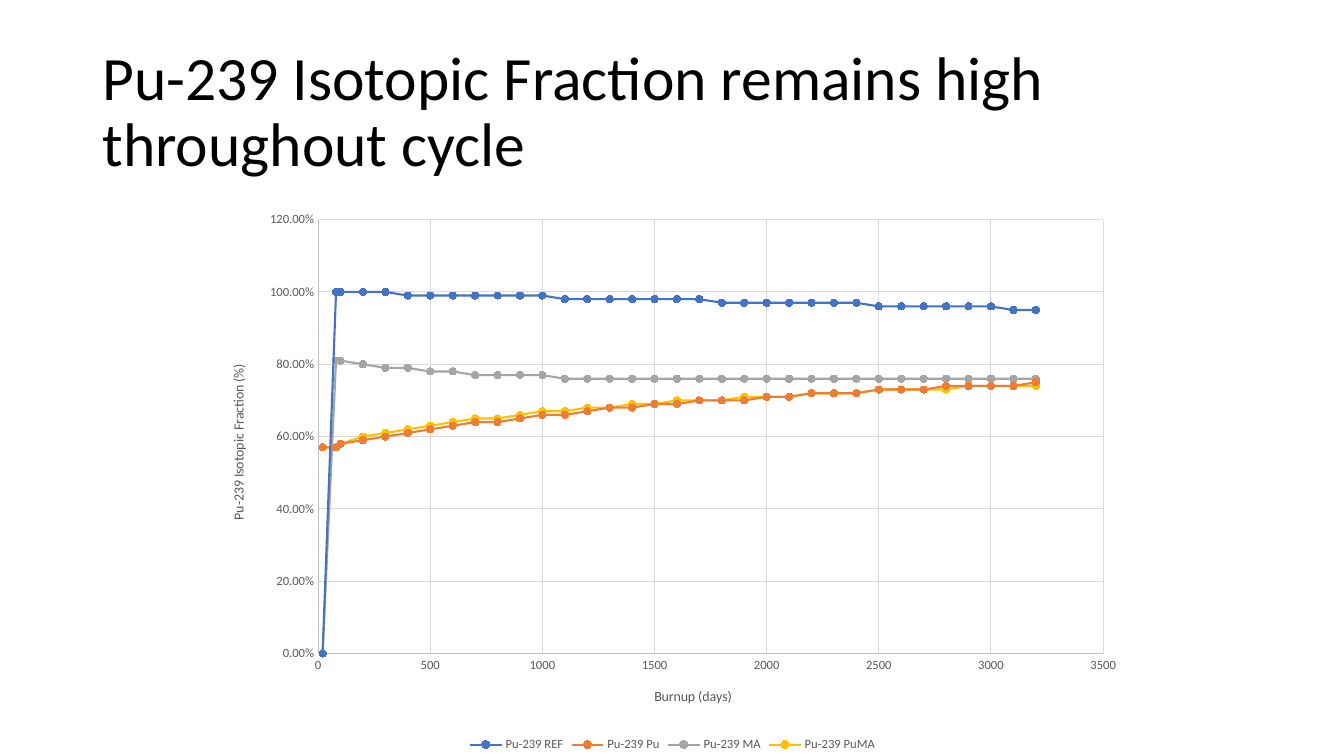
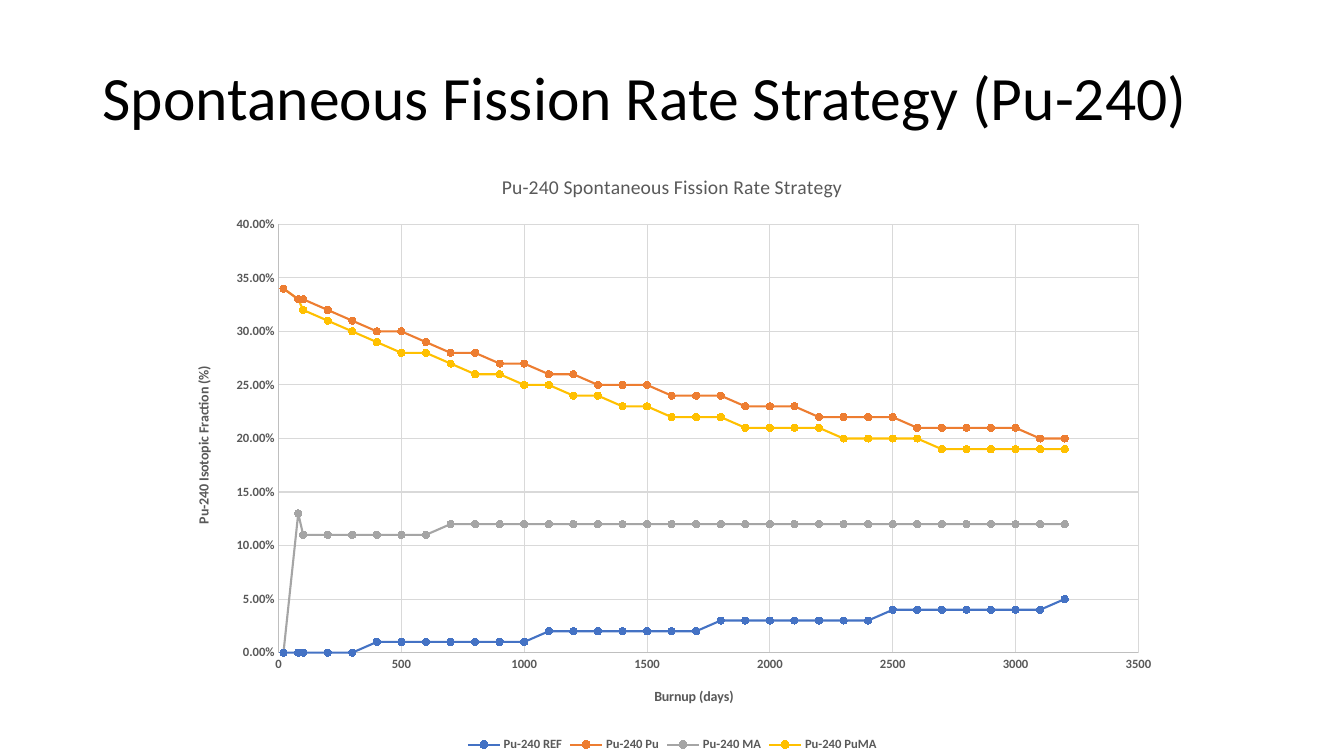
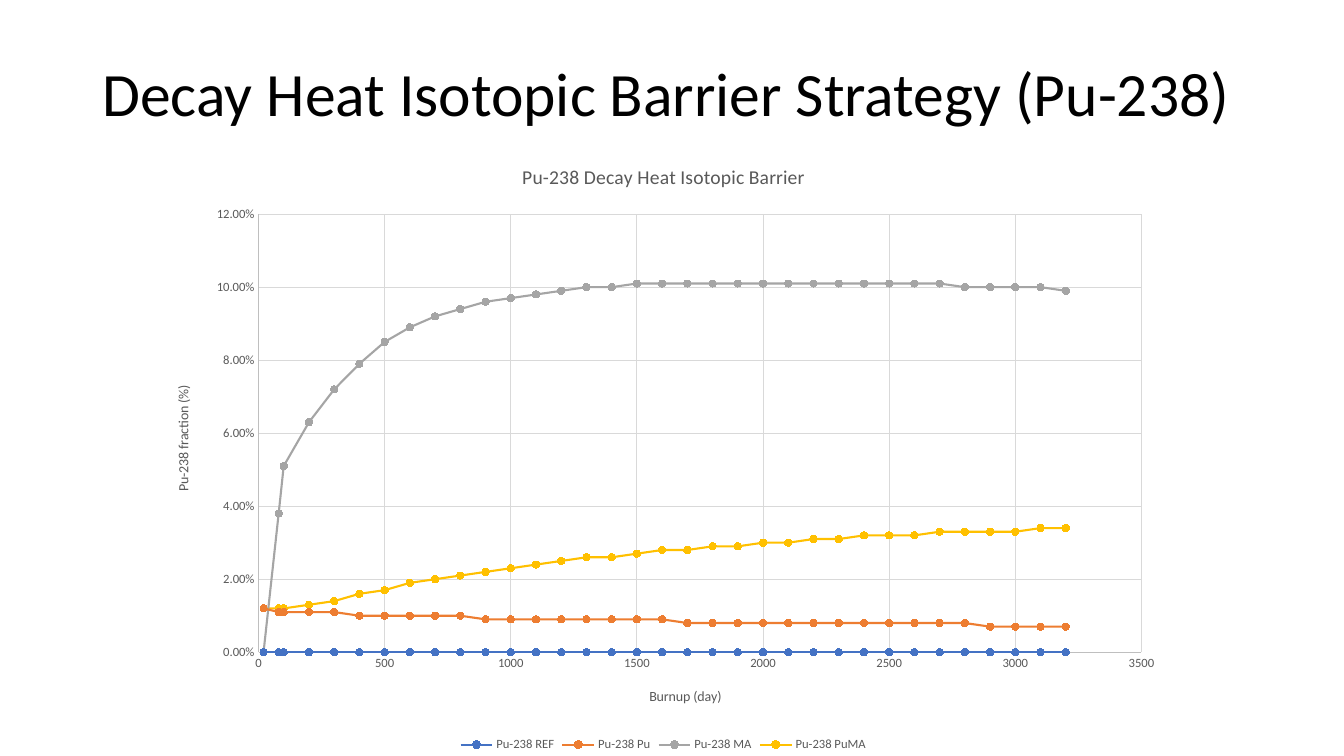
from pptx import Presentation
from pptx import util as u
from pptx.chart import data as chart_data
from pptx.dml.color import RGBColor
from pptx.enum import chart as ch, text as t
from pptx.oxml import parse_xml
from pptx.oxml.ns import nsdecls

BLACK = RGBColor(0x00, 0x00, 0x00)
GREY_TEXT = RGBColor(0x59, 0x59, 0x59)
AXIS_GREY = RGBColor(0xBF, 0xBF, 0xBF)
GRID_GREY = RGBColor(0xD9, 0xD9, 0xD9)
BLUE = RGBColor(0x44, 0x72, 0xC4)
ORANGE = RGBColor(0xED, 0x7D, 0x31)
GREY = RGBColor(0xA5, 0xA5, 0xA5)
GOLD = RGBColor(0xFF, 0xC0, 0x00)

FUELS = {"REF": BLUE, "Pu": ORANGE, "MA": GREY, "PuMA": GOLD}
BURNUP_DAYS = [20, 80] + list(range(100, 3300, 100))

# Isotopic fractions in percent, one value per burnup step
PU239 = {
    "REF": [0] + [100] * 4 + [99] * 7 + [98] * 7 + [97] * 7 + [96] * 6 + [95] * 2,
    "Pu": [57, 57, 58, 59, 60, 61, 62, 63, 64, 64, 65, 66, 66, 67, 68, 68, 69,
           69, 70, 70, 70, 71, 71, 72, 72, 72, 73, 73, 73, 74, 74, 74, 74, 75],
    "MA": [0, 81, 81, 80, 79, 79, 78, 78] + [77] * 4 + [76] * 22,
    "PuMA": [57, 57, 58, 60, 61, 62, 63, 64, 65, 65, 66, 67, 67, 68, 68, 69, 69,
             70, 70, 70, 71, 71, 71, 72, 72, 72, 73, 73, 73, 73, 74, 74, 74, 74],
}
PU240 = {
    "REF": [0] * 5 + [1] * 7 + [2] * 7 + [3] * 7 + [4] * 7 + [5],
    "Pu": [34, 33, 33, 32, 31, 30, 30, 29, 28, 28, 27, 27, 26, 26, 25, 25, 25,
           24, 24, 24, 23, 23, 23, 22, 22, 22, 22, 21, 21, 21, 21, 21, 20, 20],
    "MA": [0, 13] + [11] * 6 + [12] * 26,
    "PuMA": [34, 33, 32, 31, 30, 29, 28, 28, 27, 26, 26, 25, 25, 24, 24, 23, 23,
             22, 22, 22, 21, 21, 21, 21, 20, 20, 20, 20, 19, 19, 19, 19, 19, 19],
}
PU238 = {
    "REF": [0] * 34,
    "Pu": [1.2] + [1.1] * 4 + [1] * 5 + [0.9] * 8 + [0.8] * 12 + [0.7] * 4,
    "MA": [0, 3.8, 5.1, 6.3, 7.2, 7.9, 8.5, 8.9, 9.2, 9.4, 9.6, 9.7, 9.8, 9.9,
           10, 10] + [10.1] * 13 + [10] * 4 + [9.9],
    "PuMA": [1.2, 1.2, 1.2, 1.3, 1.4, 1.6, 1.7, 1.9, 2, 2.1, 2.2, 2.3, 2.4, 2.5,
             2.6, 2.6, 2.7, 2.8, 2.8, 2.9, 2.9, 3, 3, 3.1, 3.1, 3.2, 3.2, 3.2,
             3.3, 3.3, 3.3, 3.3, 3.4, 3.4],
}


def style_font(font, size, color=GREY_TEXT, bold=False):
    font.name = "Calibri"
    font.size = u.Pt(size)
    font.bold = bold
    font.color.rgb = color


def write_text(frame, content, size, color=GREY_TEXT, bold=False, align=None, spacing=None):
    paragraph = frame.paragraphs[0]
    paragraph.alignment = align
    paragraph.line_spacing = spacing
    run = paragraph.add_run()
    run.text = content
    style_font(run.font, size, color, bold)


def place(element, index, frame, left, top, width=None, height=None):
    """Give a chart part a fixed place; lengths are points on the slide."""
    x, y, w, h = frame
    values = {"x": (left - x) / w, "y": (top - y) / h}
    inner = ""
    if width:
        inner = '<c:layoutTarget val="inner"/>'
        values.update(w=width / w, h=height / h)
    modes = '<c:xMode val="edge"/><c:yMode val="edge"/>'
    sizes = "".join(f'<c:{key} val="{value:.4f}"/>' for key, value in values.items())
    for old in element.xpath("./c:layout"):
        element.remove(old)
    element.insert(index, parse_xml(
        f'<c:layout {nsdecls("c")}><c:manualLayout>{inner}{modes}{sizes}'
        "</c:manualLayout></c:layout>"))


class Deck:
    def __init__(self):
        self.prs = Presentation()
        self.prs.slide_width, self.prs.slide_height = u.Pt(960), u.Pt(540)
        self.slide = None

    def add_slide(self, heading, top):
        self.slide = self.prs.slides.add_slide(self.prs.slide_layouts[5])
        title = self.slide.shapes.title
        title.left, title.top = u.Pt(66), u.Pt(top)
        title.width, title.height = u.Pt(828), u.Pt(104.4)
        frame = title.text_frame
        frame.word_wrap = True
        frame.auto_size = t.MSO_AUTO_SIZE.NONE
        frame.vertical_anchor = t.MSO_ANCHOR.MIDDLE
        write_text(frame, heading, 44, BLACK, align=t.PP_ALIGN.LEFT, spacing=0.9)

    def add_axis(self, axis, label, maximum, step, number_format, frame, label_at, bold):
        axis.minimum_scale, axis.maximum_scale, axis.major_unit = 0, maximum, step
        axis.major_tick_mark = axis.minor_tick_mark = ch.XL_TICK_MARK.NONE
        axis.tick_labels.number_format = number_format
        axis.tick_labels.number_format_is_linked = False
        style_font(axis.tick_labels.font, 9, bold=bold)
        axis.has_major_gridlines = True
        for line, color in ((axis.format.line, AXIS_GREY),
                            (axis.major_gridlines.format.line, GRID_GREY)):
            line.color.rgb = color
            line.width = u.Pt(0.75)
        write_text(axis.axis_title.text_frame, label, 10, bold=bold)
        place(axis.axis_title.element, 1, frame, *label_at)

    def add_burnup_chart(self, isotope, fractions, frame, plot, x_label, x_label_at,
                         y_label, y_label_at, maximum, step,
                         heading=None, heading_at=None, bold=False):
        data = chart_data.XyChartData(number_format="0.00%")
        for fuel in FUELS:
            series = data.add_series(f"{isotope} {fuel}")
            for day, percent in zip(BURNUP_DAYS, fractions[fuel]):
                series.add_data_point(day, round(percent / 100, 3))
        chart = self.slide.shapes.add_chart(
            ch.XL_CHART_TYPE.XY_SCATTER_LINES, *map(u.Pt, frame), data).chart
        style_font(chart.font, 10, BLACK)

        # Heading and legend
        chart.has_title = heading is not None
        if heading:
            write_text(chart.chart_title.text_frame, heading, 14)
            place(chart.chart_title.element, 1, frame, *heading_at)
        chart.has_legend = True
        chart.legend.position = ch.XL_LEGEND_POSITION.BOTTOM
        chart.legend.include_in_layout = False
        style_font(chart.legend.font, 9, bold=bold)

        # Axes
        self.add_axis(chart.category_axis, x_label, 3500, 500, "General",
                      frame, x_label_at, bold)
        self.add_axis(chart.value_axis, y_label, maximum, step, "0.00%",
                      frame, y_label_at, bold)
        y_body = chart.value_axis.axis_title.element.xpath(".//a:bodyPr")[0]
        y_body.set("rot", "-5400000")
        y_body.set("vert", "horz")
        place(chart.element.xpath(".//c:plotArea")[0], 0, frame, *plot)

        # Curves
        chart.plots[0].vary_by_categories = False
        for curve, color in zip(chart.plots[0].series, FUELS.values()):
            curve.smooth = False
            curve.format.line.color.rgb = color
            curve.format.line.width = u.Pt(1.5)
            marker = curve.marker
            marker.style, marker.size = ch.XL_MARKER_STYLE.CIRCLE, 5
            marker.format.fill.solid()
            marker.format.fill.fore_color.rgb = color
            marker.format.line.color.rgb = color


def main():
    deck = Deck()

    deck.add_slide("Pu-239 Isotopic Fraction remains high throughout cycle", 28.8)
    deck.add_burnup_chart(
        "Pu-239", PU239, frame=(149.8, 143.3, 661, 396.7), plot=(227.2, 156.9, 560.8, 310),
        x_label="Burnup (days)", x_label_at=(465.5, 489),
        y_label="Pu-239 Isotopic Fraction (%)", y_label_at=(162, 258.5),
        maximum=1.2, step=0.2)

    deck.add_slide("Spontaneous Fission Rate Strategy (Pu-240)", 19.8)
    deck.add_burnup_chart(
        "Pu-240", PU240, frame=(123.8, 109.4, 712.8, 430.6), plot=(199, 160.3, 614.2, 306),
        x_label="Burnup (days)", x_label_at=(465.5, 489),
        y_label="Pu-240 Isotopic Fraction (%)", y_label_at=(137, 259.5),
        maximum=0.4, step=0.05, bold=True,
        heading="Pu-240 Spontaneous Fission Rate Strategy", heading_at=(356, 121.2))

    deck.add_slide("Decay Heat Isotopic Barrier Strategy (Pu-238)", 16.9)
    deck.add_burnup_chart(
        "Pu-238", PU238, frame=(108.7, 102.2, 730.1, 437.8), plot=(184.6, 153, 630.7, 313),
        x_label="Burnup (day)", x_label_at=(462, 489),
        y_label="Pu-238 fraction (%)", y_label_at=(122.5, 273.5),
        maximum=0.12, step=0.02,
        heading="Pu-238 Decay Heat Isotopic Barrier", heading_at=(370.5, 114.2))

    deck.prs.save("out.pptx")


if __name__ == "__main__":
    main()
